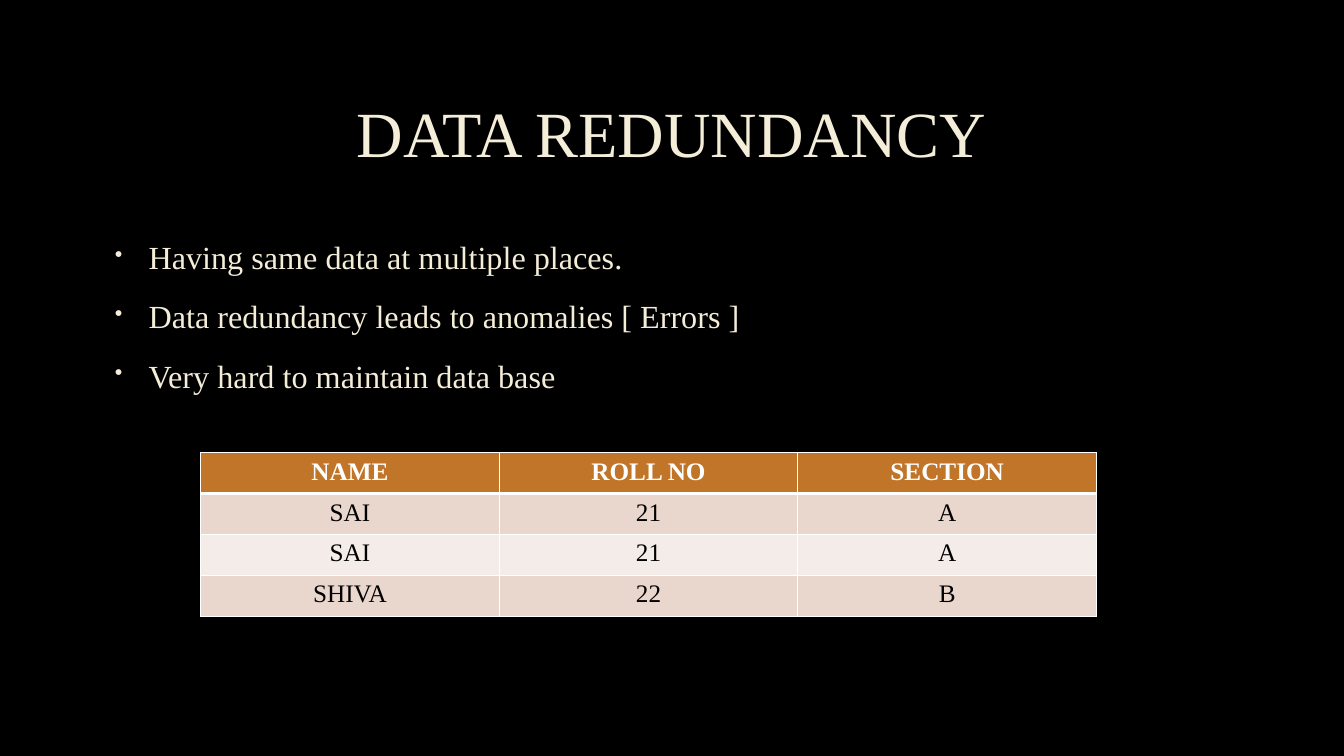
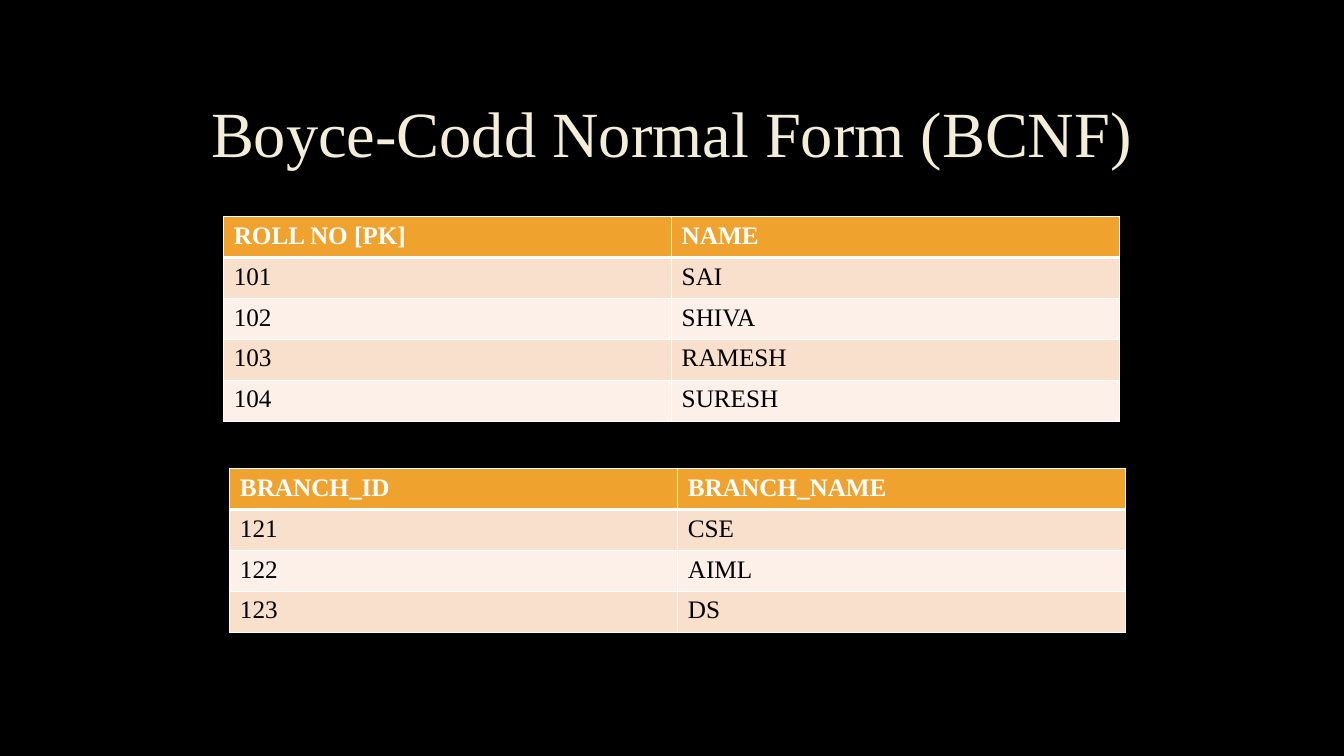
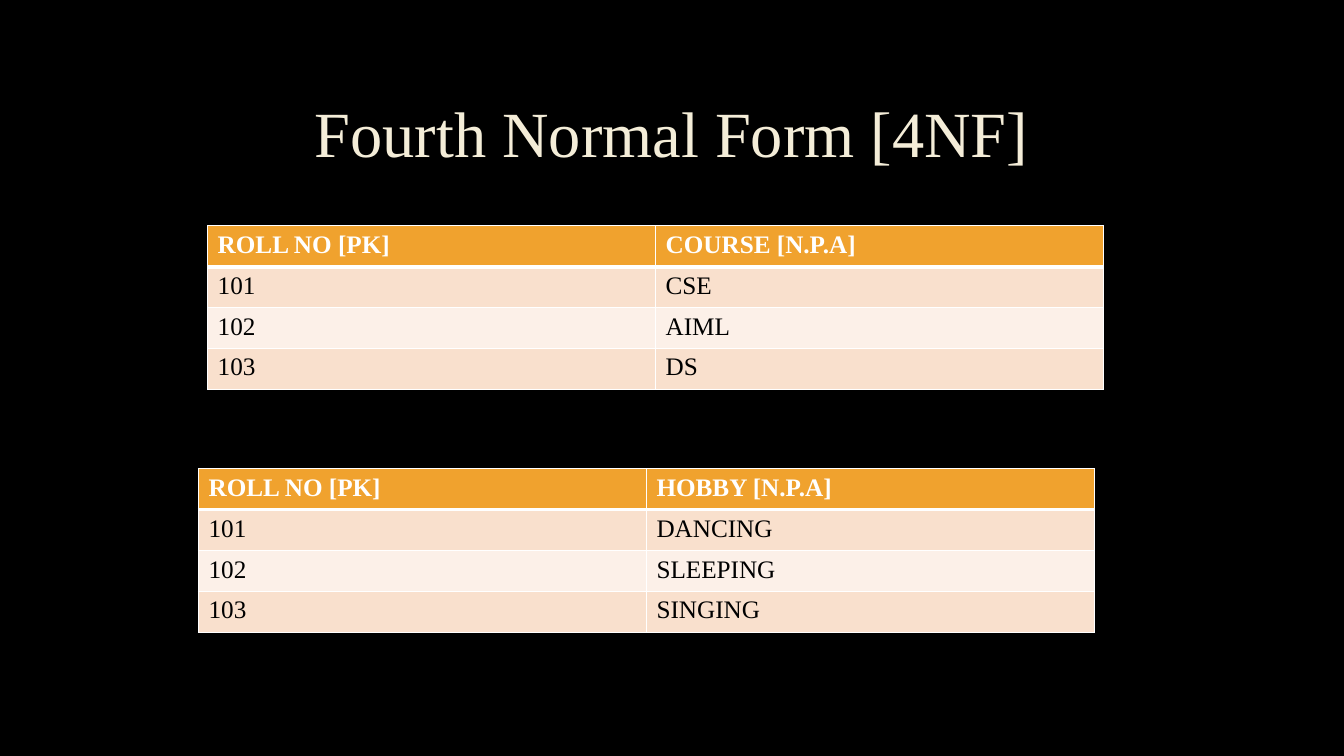
"""Build three slides on data redundancy and normal forms."""
from dataclasses import dataclass

from lxml.etree import SubElement
from pptx import Presentation
from pptx.dml.color import RGBColor as RGB
from pptx.enum.text import MSO_ANCHOR as Anchor, PP_ALIGN as Align
from pptx.oxml.ns import qn
from pptx.util import Pt


@dataclass(frozen=True)
class Theme:
    face: str = "Times New Roman"
    back: str = "000000"
    cream: str = "F4EDD8"
    white: str = "FFFFFF"
    ink: str = "000000"
    brown: tuple = ("C17529", "E9D6CD", "F4ECE8")
    gold: tuple = ("F0A22E", "F9E0CD", "FCF0E8")
    title: int = 46
    body: int = 23
    cell: int = 18
    thin: int = 1
    thick: int = 3


look = Theme()


def write(para, text, size, color, bold=False):
    para.text = text
    font = para.font
    font.name, font.size, font.bold = look.face, Pt(size), bold
    font.color.rgb = RGB.from_string(color)


def rule(cell, side, width):
    line = SubElement(cell._tc.get_or_add_tcPr(), qn("a:ln" + side), w=str(Pt(width)))
    fill = SubElement(line, qn("a:solidFill"))
    SubElement(fill, qn("a:srgbClr"), val=look.white)


slides = [
    (
        "DATA REDUNDANCY",
        [
            "Having same data at multiple places.",
            "Data redundancy leads to anomalies [ Errors ]",
            "Very hard to maintain data base",
        ],
        look.brown,
        Align.CENTER,
        [
            (143.3, 323.3, [
                ("NAME", "ROLL NO", "SECTION"),
                ("SAI", "21", "A"),
                ("SAI", "21", "A"),
                ("SHIVA", "22", "B"),
            ]),
        ],
    ),
    (
        "Boyce-Codd Normal Form (BCNF)",
        [],
        look.gold,
        Align.LEFT,
        [
            (159.8, 154.8, [
                ("ROLL NO [PK]", "NAME"),
                ("101", "SAI"),
                ("102", "SHIVA"),
                ("103", "RAMESH"),
                ("104", "SURESH"),
            ]),
            (164.2, 334.8, [
                ("BRANCH_ID", "BRANCH_NAME"),
                ("121", "CSE"),
                ("122", "AIML"),
                ("123", "DS"),
            ]),
        ],
    ),
    (
        "Fourth Normal Form [4NF]",
        [],
        look.gold,
        Align.LEFT,
        [
            (148.3, 161.3, [
                ("ROLL NO [PK]", "COURSE [N.P.A]"),
                ("101", "CSE"),
                ("102", "AIML"),
                ("103", "DS"),
            ]),
            (141.8, 334.8, [
                ("ROLL NO [PK]", "HOBBY [N.P.A]"),
                ("101", "DANCING"),
                ("102", "SLEEPING"),
                ("103", "SINGING"),
            ]),
        ],
    ),
]

left, wide = 72, 815
span, high = 640, 29.2

deck = Presentation()
deck.slide_width, deck.slide_height = Pt(960), Pt(540)
back = deck.slide_master.background.fill
back.solid()
back.fore_color.rgb = RGB.from_string(look.back)

for title, points, tints, align, grids in slides:
    slide = deck.slides.add_slide(deck.slide_layouts[6])
    frame = slide.shapes.add_textbox(Pt(left), Pt(48.2), Pt(wide), Pt(99.4)).text_frame
    frame.word_wrap = True
    frame.vertical_anchor = Anchor.MIDDLE
    head = frame.paragraphs[0]
    write(head, title, look.title, look.cream)
    head.alignment, head.line_spacing = Align.CENTER, 0.9

    if points:
        frame = slide.shapes.add_textbox(Pt(left), Pt(163.4), Pt(wide), Pt(292.3)).text_frame
        frame.word_wrap = True
    for i, point in enumerate(points):
        para = frame.add_paragraph() if i else frame.paragraphs[0]
        write(para, point, look.body, look.cream)
        para.line_spacing = 1.1
        para.space_before, para.space_after = Pt(6), Pt(6)
        props = para._p.get_or_add_pPr()
        props.set("marL", str(Pt(27)))
        props.set("indent", str(Pt(-24)))
        size = props.makeelement(qn("a:buSzPct"), val="70000")
        mark = props.makeelement(qn("a:buChar"), char="•")
        font = props.find(qn("a:defRPr"))
        font.addprevious(size)
        font.addprevious(mark)

    for x, y, rows in grids:
        count = len(rows[0])
        table = slide.shapes.add_table(
            len(rows), count, Pt(x), Pt(y), Pt(span), Pt(high * len(rows))
        ).table
        for col in table.columns:
            col.width = Pt(span / count)
        for r, row in enumerate(rows):
            table.rows[r].height = Pt(high)
            tint = tints[2 - r % 2] if r else tints[0]
            for c, text in enumerate(row):
                cell = table.cell(r, c)
                para = cell.text_frame.paragraphs[0]
                write(para, text, look.cell, look.ink if r else look.white, r == 0)
                para.alignment = align
                rule(cell, "L", look.thin)
                rule(cell, "R", look.thin)
                rule(cell, "T", look.thick if r == 1 else look.thin)
                rule(cell, "B", look.thin if r else look.thick)
                cell.fill.solid()
                cell.fill.fore_color.rgb = RGB.from_string(tint)

deck.save("out.pptx")
